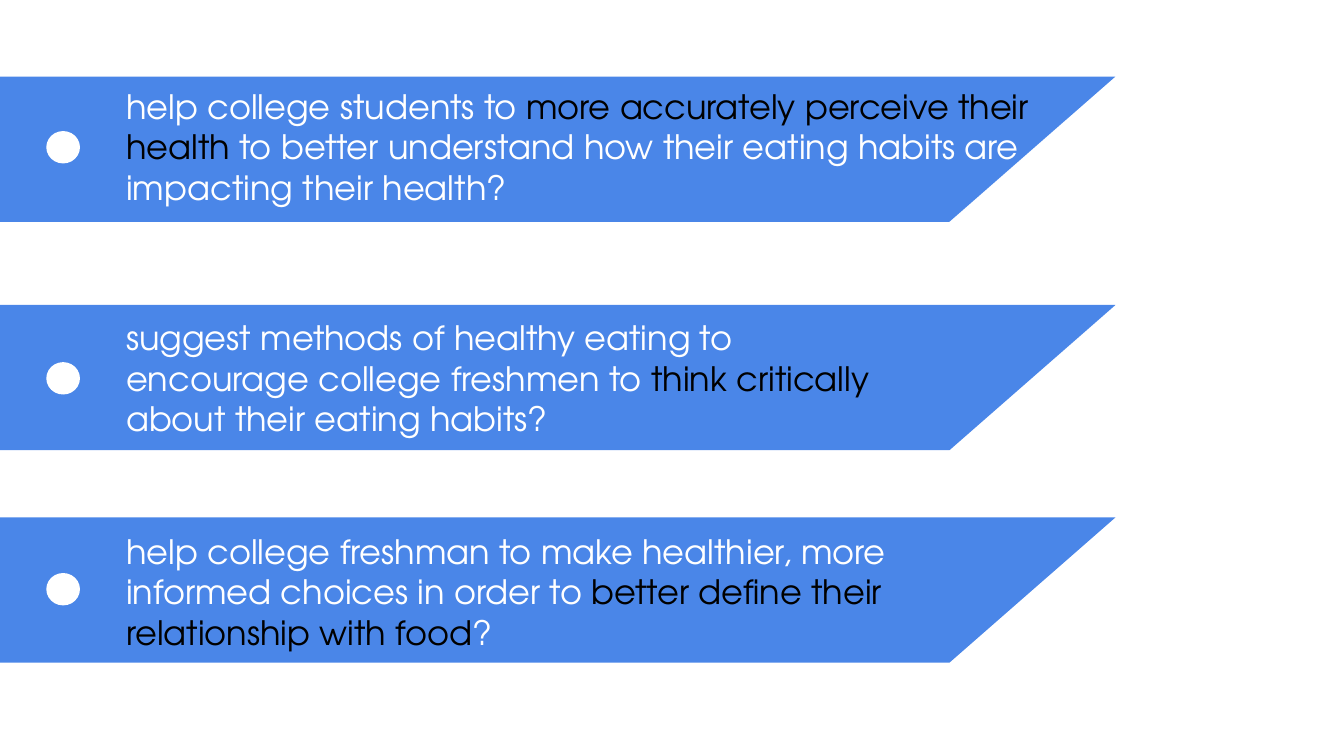
from pptx import Presentation
from pptx.dml.color import RGBColor
from pptx.enum.shapes import MSO_SHAPE
from pptx.util import Pt

SLANT, OVAL = MSO_SHAPE.PARALLELOGRAM, MSO_SHAPE.OVAL
BLUE = RGBColor(0x4A, 0x86, 0xE8)
WHITE = RGBColor(0xFF, 0xFF, 0xFF)
BLACK = RGBColor(0, 0, 0)
FONT, SIZE = "TeX Gyre Adventor", 18

# Each goal: band top, dot top, text box (top, width, height), paragraphs.
# In a paragraph, plain and stressed pieces take turns, plain first.
GOALS = [
    (41, 70.6, (38.9, 506.2, 79.9), [
        ["help college students to ",
         "more accurately perceive their health",
         " to better understand how their eating habits are"],
        ["impacting their health?"]]),
    (163.4, 194.4, (162.7, 424.8, 79.9), [
        ["suggest methods of healthy eating to encourage college freshmen to ",
         "think critically",
         " about their eating habits?"]]),
    (277.2, 307.4, (277.2, 457.9, 69.1), [
        ["help college freshman to make healthier, more informed choices "
         "in order to ",
         "better define their relationship with food",
         "?"]]),
]


def add_solid(slide, kind, box, color):
    shape = slide.shapes.add_shape(kind, *map(Pt, box))
    shape.shadow.inherit = False
    shape.fill.solid()
    shape.fill.fore_color.rgb = color
    return shape


def add_band(slide, top):
    band = add_solid(slide, SLANT, (-90.7, top, 688.3, 77.8), BLUE)
    band.adjustments[0] = 1.143
    band.line.fill.background()


def add_dot(slide, top):
    dot = add_solid(slide, OVAL, (25.2, top, 17.3, 16.6), WHITE)
    dot.line.color.rgb = WHITE
    dot.line.width = Pt(0.75)


def add_goal(slide, top, width, height, paras):
    frame = slide.shapes.add_textbox(
        Pt(60.5), Pt(top), Pt(width), Pt(height)).text_frame
    frame.word_wrap = True
    frame.margin_left = frame.margin_right = Pt(7.2)
    frame.margin_top = frame.margin_bottom = Pt(7.2)
    for i, pieces in enumerate(paras):
        para = frame.add_paragraph() if i else frame.paragraphs[0]
        for j, piece in enumerate(pieces):
            run = para.add_run()
            run.text = piece
            run.font.name = FONT
            run.font.size = Pt(SIZE)
            run.font.color.rgb = BLACK if j % 2 else WHITE


def main():
    deck = Presentation()
    deck.slide_width, deck.slide_height = Pt(720), Pt(405)
    slide = deck.slides.add_slide(deck.slide_layouts[6])
    for band_top, dot_top, box, paras in GOALS:
        add_band(slide, band_top)
        add_goal(slide, *box, paras)
        add_dot(slide, dot_top)
    deck.save("out.pptx")


if __name__ == "__main__":
    main()
